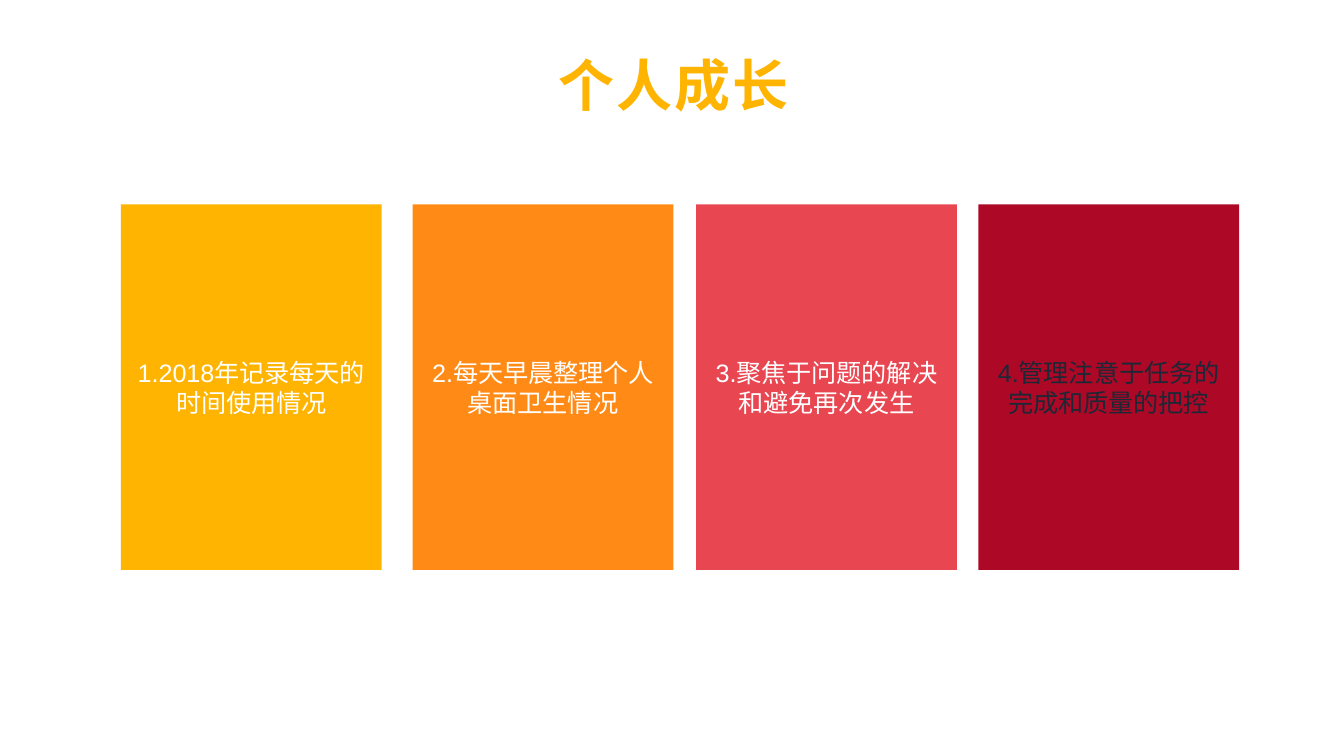
from dataclasses import dataclass

from lxml import etree
from pptx import Presentation
from pptx.dml.color import RGBColor
from pptx.enum.shapes import MSO_SHAPE
from pptx.enum.text import MSO_ANCHOR, PP_ALIGN
from pptx.oxml.ns import qn
from pptx.util import Inches, Pt

RECTANGLE = MSO_SHAPE.RECTANGLE
MIDDLE = MSO_ANCHOR.MIDDLE
CENTER = PP_ALIGN.CENTER

PAGE_WIDTH = Inches(10)
PAGE_HEIGHT = PAGE_WIDTH * 9 // 16


@dataclass(frozen=True)
class Theme:
    title_color: str = "FEB400"
    light_text: str = "FFFFFF"
    dark_text: str = "1C2835"
    yellow: str = "FEB401"
    orange: str = "FF8B16"
    coral: str = "E84752"
    crimson: str = "AE0827"
    title_size: float = 30
    card_size: float = 13.5
    title_spacing: float = 1.1
    latin_font: str = "Arial"
    chinese_font: str = "Noto Sans CJK SC"


THEME = Theme()

CARD_TOP, CARD_WIDTH, CARD_HEIGHT = 1.52, 1.94, 2.72
CARDS = [
    (0.9, THEME.yellow, THEME.light_text, "1.2018年记录每天的时间使用情况"),
    (3.07, THEME.orange, THEME.light_text, "2.每天早晨整理个人桌面卫生情况"),
    (5.18, THEME.coral, THEME.light_text, "3.聚焦于问题的解决和避免再次发生"),
    (7.28, THEME.crimson, THEME.dark_text, "4.管理注意于任务的完成和质量的把控"),
]


def apply_format(target, values):
    for name, value in values.items():
        setattr(target, name, value)


def write_text(frame, text, color, font_format, spacing=0):
    para = frame.paragraphs[0]
    para.alignment = CENTER
    span = para.add_run()
    span.text = text
    apply_format(span.font, font_format)
    span.font.color.rgb = RGBColor.from_string(color)
    properties = span._r.get_or_add_rPr()
    if spacing:
        properties.set("spc", str(round(spacing * 100)))
    east_asian = etree.SubElement(properties, qn("a:ea"))
    east_asian.set("typeface", THEME.chinese_font)


def add_title(page, text):
    box = page.shapes.add_textbox(
        Inches(4.15), Inches(0.38), Inches(1.73), Inches(0.5)
    )
    frame = box.text_frame
    apply_format(frame, {
        "word_wrap": False,
        "vertical_anchor": MIDDLE,
        "margin_left": 0,
        "margin_right": 0,
        "margin_top": 0,
        "margin_bottom": 0,
    })
    font_format = {
        "name": THEME.chinese_font,
        "size": Pt(THEME.title_size),
        "bold": True,
    }
    write_text(frame, text, THEME.title_color, font_format, THEME.title_spacing)


def add_card(page, left, fill, text_color, text):
    card = page.shapes.add_shape(
        RECTANGLE,
        Inches(left), Inches(CARD_TOP), Inches(CARD_WIDTH), Inches(CARD_HEIGHT),
    )
    card.shadow.inherit = False
    card.fill.solid()
    card.fill.fore_color.rgb = RGBColor.from_string(fill)
    card.line.fill.background()
    frame = card.text_frame
    apply_format(frame, {"word_wrap": True, "vertical_anchor": MIDDLE})
    font_format = {"name": THEME.latin_font, "size": Pt(THEME.card_size)}
    write_text(frame, text, text_color, font_format)


def main():
    deck = Presentation()
    apply_format(deck, {"slide_width": PAGE_WIDTH, "slide_height": PAGE_HEIGHT})
    page = deck.slides.add_slide(deck.slide_layouts[6])
    add_title(page, "个人成长")
    for card in CARDS:
        add_card(page, *card)
    deck.save("out.pptx")


if __name__ == "__main__":
    main()
